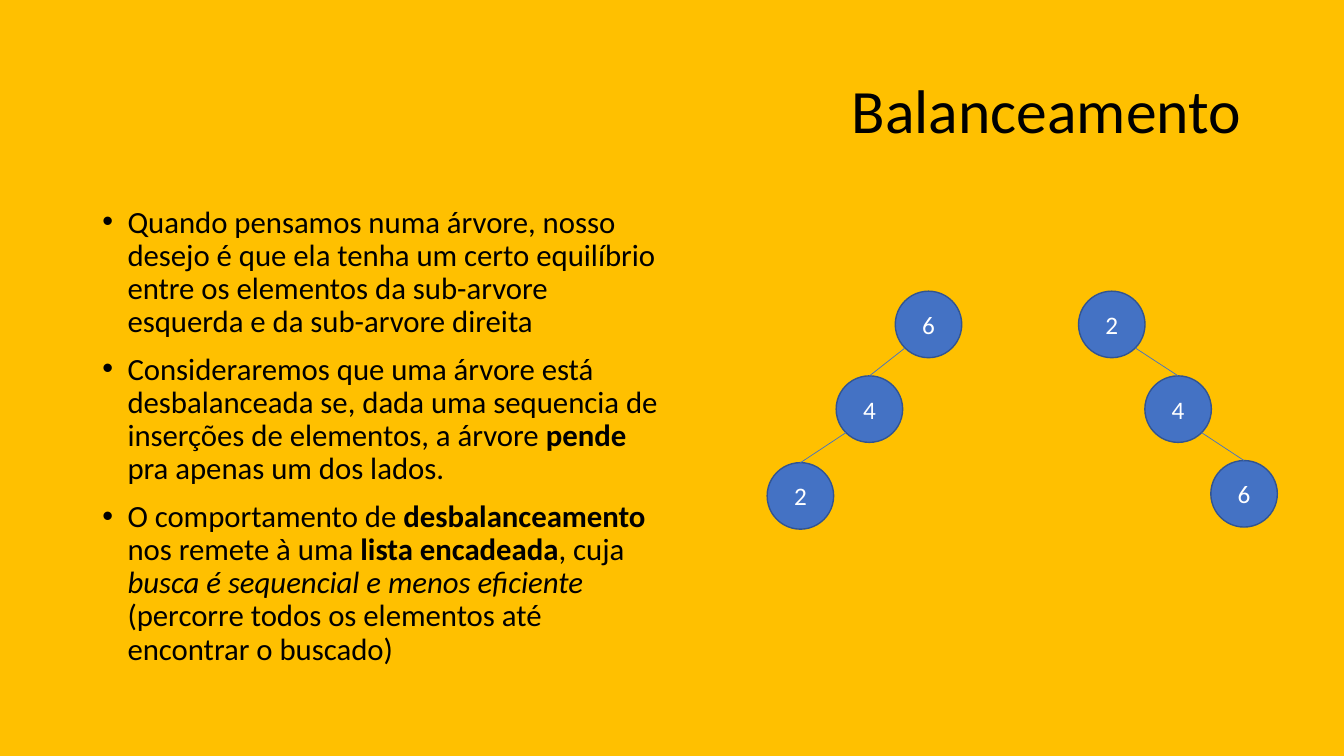
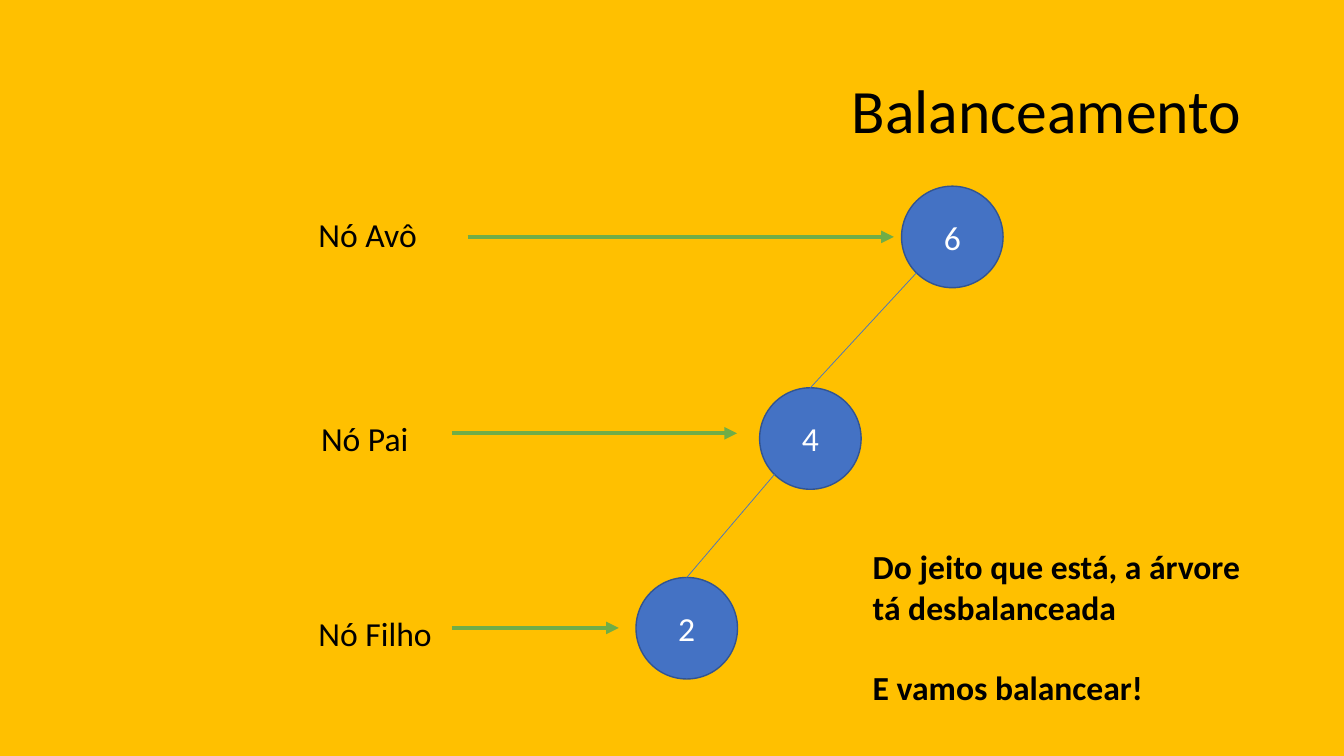
from dataclasses import dataclass
from math import sqrt

from lxml import etree
from pptx import Presentation, util as u
from pptx.dml import color
from pptx.enum import shapes, text
from pptx.oxml import ns

Pt = u.Pt
RGB = color.RGBColor.from_string
ALIGN = text.PP_ALIGN
MID = text.MSO_ANCHOR.MIDDLE


@dataclass(frozen=True)
class Theme:
    font: str = "Calibri"
    ground: str = "FFC000"
    ink: str = "000000"
    light: str = "FFFFFF"
    node: str = "4472C4"
    edge: str = "325491"
    arrow: str = "70AD47"
    title: float = 44
    body: float = 22
    label: float = 24
    small: float = 18


def put(obj, vals):
    for name, val in vals.items():
        setattr(obj, name, val)


def sub(parent, tag, **attrs):
    return etree.SubElement(parent, ns.qn(tag), attrs)


class Deck:
    def __init__(self, theme):
        self.theme = theme
        self.prs = Presentation()
        put(self.prs, {"slide_width": Pt(960), "slide_height": Pt(540)})
        self.slide = None

    def page(self, title):
        self.slide = self.prs.slides.add_slide(self.prs.slide_layouts[6])
        fill = self.slide.background.fill
        fill.solid()
        fill.fore_color.rgb = RGB(self.theme.ground)
        frame = self.box(66, 28.8, 828, 104.4, {"vertical_anchor": MID})
        self.para(frame, [title], self.theme.title,
                  {"alignment": ALIGN.RIGHT, "line_spacing": 0.9})

    def box(self, x, y, w, h, form=None):
        shape = self.slide.shapes.add_textbox(Pt(x), Pt(y), Pt(w), Pt(h))
        frame = shape.text_frame
        put(frame, {"word_wrap": True, **(form or {})})
        return frame

    def para(self, frame, parts, size, form=None, ink=None, bold=False):
        """Fill the first empty paragraph or add one; a part is text or (text, font values)."""
        first = frame.paragraphs[0]
        line = frame.add_paragraph() if first.runs else first
        put(line, form or {})
        for part in parts:
            words, look = (part, {}) if isinstance(part, str) else part
            run = line.add_run()
            run.text = words
            put(run.font, {"name": self.theme.font, "size": Pt(size), "bold": bold, **look})
            run.font.color.rgb = RGB(ink or self.theme.ink)
        return line

    def bullets(self, items, *place):
        frame = self.box(*place)
        for parts in items:
            line = self.para(frame, parts, self.theme.body,
                             {"line_spacing": 0.9, "space_before": Pt(10)})
            props = line._p.get_or_add_pPr()
            props.set("marL", str(Pt(18)))
            props.set("indent", str(-Pt(18)))
            sub(props, "a:buFont", typeface="Arial")
            sub(props, "a:buChar", char="•")

    def label(self, words, *place):
        frame = self.box(*place, {"word_wrap": False})
        self.para(frame, [words], self.theme.label)

    def node(self, word, x, y, side, size):
        shape = self.slide.shapes.add_shape(
            shapes.MSO_SHAPE.OVAL, Pt(x), Pt(y), Pt(side), Pt(side))
        shape.shadow.inherit = False
        shape.fill.solid()
        shape.fill.fore_color.rgb = RGB(self.theme.node)
        shape.line.color.rgb = RGB(self.theme.edge)
        shape.line.width = Pt(1)
        frame = shape.text_frame
        frame.vertical_anchor = MID
        self.para(frame, [word], size, {"alignment": ALIGN.CENTER}, self.theme.light)

    def line(self, start, end, ink, width, head=False):
        ends = [Pt(v) for v in (*start, *end)]
        link = self.slide.shapes.add_connector(shapes.MSO_CONNECTOR.STRAIGHT, *ends)
        link.line.color.rgb = RGB(ink)
        link.line.width = Pt(width)
        if head:
            sub(link.line._get_or_add_ln(), "a:tailEnd", type="triangle")
        sub(link._element.spPr, "a:effectLst")

    def chain(self, nodes, side, size):
        """Draw nodes from the root down, each linked to the top of the next."""
        for node in nodes:
            self.node(*node, side, size)
        half = side / 2
        reach = half / sqrt(2)
        for (_, x, y), (_, nx, ny) in zip(nodes, nodes[1:]):
            way = 1 if nx > x else -1
            self.line((x + half + way * reach, y + half + reach),
                      (nx + half, ny), self.theme.node, 0.5)


BOLD = {"bold": True}
POINTS = [
    ["Quando pensamos numa árvore, nosso desejo é que ela tenha um certo equilíbrio "
     "entre os elementos da sub-arvore esquerda e da sub-arvore direita"],
    ["Consideraremos que uma árvore está desbalanceada se, dada uma sequencia de "
     "inserções de elementos, a árvore ", ("pende", BOLD), " pra apenas um dos lados."],
    ["O comportamento de ", ("desbalanceamento", BOLD), " nos remete à uma ",
     ("lista encadeada", BOLD), ", cuja ",
     ("busca é sequencial e menos eficiente ", {"italic": True}),
     "(percorre todos os elementos até encontrar o buscado)"],
]
RIGHT = [("2", 770.4, 208), ("4", 817.8, 268.5), ("6", 864.9, 329)]
LEFT = [("6", 639.5, 208), ("4", 597.3, 268.5), ("2", 548, 330.5)]
FAMILY = [("6", 644, 133), ("4", 542.6, 277), ("2", 454.3, 412.5)]
# label, left, top, width; arrow start, arrow end, arrow height
ROLES = [
    ("Nó Avô", 220.4, 149.2, 85.6, 334, 638.5, 169.2),
    ("Nó Pai", 222.2, 295.2, 77.8, 322.7, 526.5, 309.5),
    ("Nó Filho", 220.4, 434.2, 95.6, 322.7, 442, 448.5),
]
CLOSING = [("Do jeito que está, a árvore", 0), ("tá desbalanceada", 0),
           ("E vamos balancear!", 29)]


def main():
    theme = Theme()
    deck = Deck(theme)

    deck.page("Balanceamento")
    deck.bullets(POINTS, 66, 144, 419, 342.7)
    for nodes in (RIGHT, LEFT):
        deck.chain(nodes, 47.5, theme.small)

    deck.page("Balanceamento")
    deck.chain(FAMILY, 72.5, theme.label)
    for words, x, y, w, start, end, level in ROLES:
        deck.line((start, level), (end, level), theme.arrow, 3, head=True)
        deck.label(words, x, y, w, 36)
    frame = deck.box(616.3, 386.6, 279.4, 124, {"word_wrap": False})
    for words, gap in CLOSING:
        deck.para(frame, [words], theme.label, {"space_before": Pt(gap)}, bold=True)

    deck.prs.save("out.pptx")


if __name__ == "__main__":
    main()
